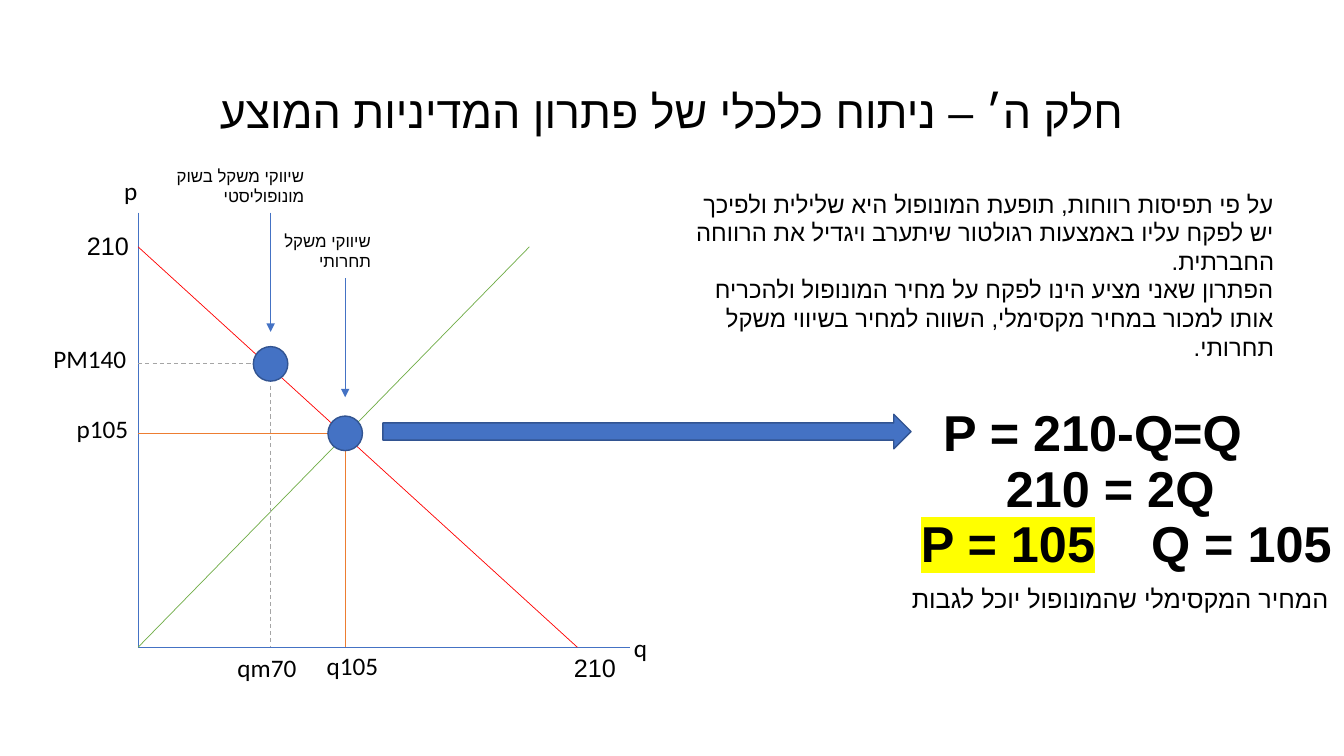
from dataclasses import dataclass

from lxml.etree import SubElement
from pptx import Presentation
from pptx.dml.color import RGBColor
from pptx.enum.dml import MSO_LINE_DASH_STYLE as Dash
from pptx.enum.shapes import MSO_CONNECTOR as Connector, MSO_SHAPE as Shape
from pptx.enum.text import MSO_ANCHOR as Anchor, MSO_AUTO_SIZE as AutoSize, PP_ALIGN as Align
from pptx.oxml.ns import qn
from pptx.util import Cm, Pt


@dataclass(frozen=True)
class Theme:
    ink: str = "000000"
    blue: str = "4472C4"
    outline: str = "325491"
    red: str = "FF0000"
    green: str = "70AD47"
    orange: str = "ED7D31"
    grey: str = "A5A5A5"
    highlight: str = "FFFF00"
    label_font: str = "Calibri"
    text_font: str = "Arial"
    title_size: float = 32
    equation_size: float = 36
    label_size: float = 18
    body_size: float = 17
    note_size: float = 12
    thin: float = 0.5
    dashed: float = 0.75
    border: float = 1


THEME = Theme()

# All positions are in centimetres.
TITLE = "חלק ה׳ – ניתוח כלכלי של פתרון המדיניות המוצע"
BODY = [
    "על פי תפיסות רווחות, תופעת המונופול היא שלילית ולפיכך יש לפקח עליו באמצעות "
    "רגולטור שיתערב ויגדיל את הרווחה החברתית.",
    "הפתרון שאני מציע הינו לפקח על מחיר המונופול ולהכריח אותו למכור במחיר מקסימלי, "
    "השווה למחיר בשיווי משקל תחרותי.",
]
CAPTION = "המחיר המקסימלי שהמונופול יוכל לגבות"
RESULT = ("P = 105", "\tQ = 105")

ORIGIN_X, ORIGIN_Y = 3.48, 16.31
AXIS_TOP, AXIS_RIGHT = 5.36, 15.88
CURVE_TOP, DEMAND_RIGHT, SUPPLY_RIGHT = 6.22, 14.55, 13.34
MONOPOLY = (6.82, 9.17)
COMPETITION = (8.7, 10.92)
MARKER = 0.87
POINTER_LENGTH = 3.0

# text, right edge, top, width
AXIS_LABELS = [
    ("210", 3.5, 5.69, 2.1),
    ("210", 15.77, 16.31, 2.1),
    ("qm70", 7.72, 16.31, 5.18),
    ("p", 3.71, 4.29, 2.54),
    ("q", 16.56, 15.8, 1.6),
    ("p105", 3.48, 10.29, 3.48),
    ("q105", 9.78, 16.26, 4.09),
    ("PM140", 3.43, 8.53, 3.43),
]
# paragraphs, right edge, top, width
NOTES = [
    (["שיווקי משקל", "תחרותי"], 9.6, 5.69, 3.96),
    (["שיווקי משקל בשוק מונופוליסטי"], 7.92, 4.06, 5.33),
]
# text, left, top
EQUATIONS = [("P = 210-Q=Q", 23.52, 9.98), ("210 = 2Q", 25.1, 11.4)]


def write(frame, paragraphs, *, size, font, bold=False, rtl=False, align=None, spacing=None):
    """Fill a text frame; a paragraph is a string or a tuple of runs."""
    for index, content in enumerate(paragraphs):
        paragraph = frame.paragraphs[0] if index == 0 else frame.add_paragraph()
        paragraph.alignment = align or (Align.RIGHT if rtl else Align.LEFT)
        paragraph.line_spacing = spacing
        if rtl:
            paragraph._p.get_or_add_pPr().set("rtl", "1")
        for text in (content,) if isinstance(content, str) else content:
            run = paragraph.add_run()
            run.text = text
            run.font.size, run.font.name, run.font.bold = Pt(size), font, bold
            run.font.color.rgb = RGBColor.from_string(THEME.ink)
            SubElement(run.font._element, qn("a:cs")).set("typeface", THEME.text_font)


def add_text(slide, paragraphs, left, top, width, height, **style):
    frame = slide.shapes.add_textbox(Cm(left), Cm(top), Cm(width), Cm(height)).text_frame
    frame.word_wrap = True
    frame.auto_size = AutoSize.SHAPE_TO_FIT_TEXT
    write(frame, paragraphs, **style)
    return frame


def add_line(slide, start, end, color, *, dashed=False, arrow=False):
    line = slide.shapes.add_connector(Connector.STRAIGHT, *map(Cm, (*start, *end)))
    line.line.color.rgb = RGBColor.from_string(color)
    line.line.width = Pt(THEME.dashed if dashed else THEME.thin)
    if dashed:
        line.line.dash_style = Dash.DASH
    if arrow:
        SubElement(line.line._get_or_add_ln(), qn("a:tailEnd")).set("type", "triangle")
    SubElement(line._element.spPr, qn("a:effectLst"))


def add_filled(slide, kind, left, top, width, height):
    shape = slide.shapes.add_shape(kind, Cm(left), Cm(top), Cm(width), Cm(height))
    shape.shadow.inherit = False
    shape.fill.solid()
    shape.fill.fore_color.rgb = RGBColor.from_string(THEME.blue)
    shape.line.color.rgb = RGBColor.from_string(THEME.outline)
    shape.line.width = Pt(THEME.border)


def add_title(slide):
    title = slide.shapes.title
    title.left, title.top, title.width, title.height = Cm(2.33), Cm(1.02), Cm(29.21), Cm(3.68)
    title.text_frame.vertical_anchor = Anchor.MIDDLE
    write(title.text_frame, [TITLE], size=THEME.title_size, font=THEME.label_font,
          rtl=True, align=Align.CENTER, spacing=0.9)


def add_graph(slide):
    origin = (ORIGIN_X, ORIGIN_Y)
    add_line(slide, (ORIGIN_X, AXIS_TOP), origin, THEME.blue)
    add_line(slide, origin, (AXIS_RIGHT, ORIGIN_Y), THEME.blue)
    add_line(slide, (ORIGIN_X, CURVE_TOP), (DEMAND_RIGHT, ORIGIN_Y), THEME.red)
    add_line(slide, origin, (SUPPLY_RIGHT, CURVE_TOP), THEME.green)

    guides = [(MONOPOLY, THEME.grey, True, 5.36), (COMPETITION, THEME.orange, False, 7.01)]
    for (x, y), color, dashed, pointer_top in guides:
        add_line(slide, (ORIGIN_X, y), (x, y), color, dashed=dashed)
        add_line(slide, (x, y), (x, ORIGIN_Y), color, dashed=dashed)
        add_filled(slide, Shape.OVAL, x - MARKER / 2, y - MARKER / 2, MARKER, MARKER)
        add_line(slide, (x, pointer_top), (x, pointer_top + POINTER_LENGTH), THEME.blue, arrow=True)

    for text, right, top, width in AXIS_LABELS:
        add_text(slide, [text], right - width, top, width, 1.02,
                 size=THEME.label_size, font=THEME.label_font, rtl=True)
    for paragraphs, right, top, width in NOTES:
        add_text(slide, paragraphs, right - width, top, width, 1.27,
                 size=THEME.note_size, font=THEME.label_font, rtl=True)


def add_solution(slide):
    add_text(slide, BODY, 16.99, 4.65, 15.37, 3.89,
             size=THEME.body_size, font=THEME.text_font, rtl=True)
    add_filled(slide, Shape.RIGHT_ARROW, 9.65, 10.44, 13.31, 0.87)

    equation = dict(size=THEME.equation_size, font=THEME.text_font, bold=True)
    for text, left, top in EQUATIONS:
        add_text(slide, [text], left, top, 8.75, 1.8, **equation)
    paragraph = add_text(slide, [RESULT], 22.96, 12.78, 11.35, 1.8, **equation).paragraphs[0]
    stops = SubElement(paragraph._p.get_or_add_pPr(), qn("a:tabLst"))
    SubElement(stops, qn("a:tab"), pos=str(Cm(5.8)), algn="l")
    marked = SubElement(paragraph.runs[0].font._element, qn("a:highlight"))
    SubElement(marked, qn("a:srgbClr")).set("val", THEME.highlight)
    paragraph.runs[0].font.fill._xPr.find(qn("a:solidFill")).addnext(marked)

    add_text(slide, [CAPTION], 22.73, 14.58, 11.58, 1.02,
             size=THEME.label_size, font=THEME.text_font)


def main():
    presentation = Presentation()
    presentation.slide_width, presentation.slide_height = Cm(33.87), Cm(19.05)
    slide = presentation.slides.add_slide(presentation.slide_layouts[5])
    add_title(slide)
    add_graph(slide)
    add_solution(slide)
    presentation.save("out.pptx")


if __name__ == "__main__":
    main()
